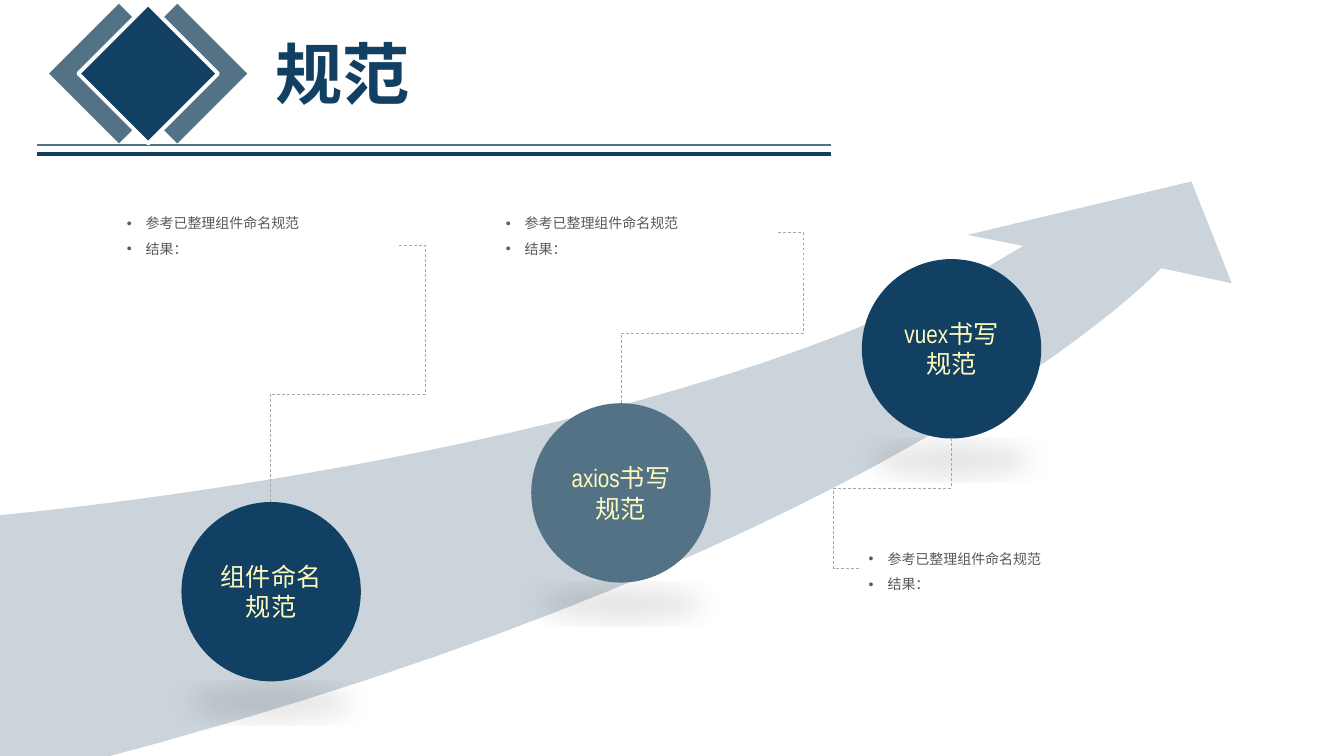
from lxml.etree import SubElement
from pptx import Presentation
from pptx.dml.color import RGBColor
from pptx.enum.dml import MSO_LINE
from pptx.enum.shapes import MSO_CONNECTOR, MSO_SHAPE
from pptx.enum.text import MSO_ANCHOR, MSO_AUTO_SIZE, PP_ALIGN
from pptx.oxml.ns import qn
from pptx.util import Pt

NAVY, SLATE, GREY, WHITE = "124062", "537285", "A6A6A6", "FFFFFF"


def color(code):
    return RGBColor.from_string(code)


def apply(target, values):
    for name, value in values.items():
        setattr(target, name, value)


def child(parent, tag, **attrs):
    node = SubElement(parent, qn(tag))
    for name, value in attrs.items():
        node.set(name, str(value))
    return node


def curve(a, b, c, d, steps=32):
    points = []
    for step in range(1, steps + 1):
        t = step / steps
        u = 1 - t
        points.append(tuple(
            u**3 * p + 3 * u * u * t * q + 3 * u * t * t * r + t**3 * s
            for p, q, r, s in zip(a, b, c, d)))
    return points


class Deck:
    title = {"size": Pt(48), "name": "Montserrat", "bold": True}
    label = {"size": Pt(18), "name": "Arial Narrow"}
    body = {"size": Pt(10), "name": "Arial Narrow"}
    grow = {"auto_size": MSO_AUTO_SIZE.SHAPE_TO_FIT_TEXT}

    def __init__(self):
        self.show = Presentation()
        apply(self.show, {"slide_width": Pt(960), "slide_height": Pt(540)})
        self.shapes = self.show.slides.add_slide(
            self.show.slide_layouts[6]).shapes

    def paint(self, shape, fill, line=None, width=0):
        shape.shadow.inherit = False
        shape.fill.solid()
        shape.fill.fore_color.rgb = color(fill)
        if line:
            self.stroke(shape.line, line, width)
        else:
            shape.line.fill.background()

    def stroke(self, line, hue, width):
        line.width = Pt(width)
        line.color.rgb = color(hue)

    def letter(self, para, text, font, hue):
        run = para.add_run()
        run.text = text
        apply(run.font, font)
        run.font.color.rgb = color(hue)

    def link(self, kind, start, end, hue, width):
        line = self.shapes.add_connector(kind, *map(Pt, (*start, *end)))
        self.stroke(line.line, hue, width)
        child(line._element.spPr, "a:effectLst")
        return line

    def rule(self, y, hue, width):
        self.link(MSO_CONNECTOR.STRAIGHT, (593.28, y), (26.64, y), hue, width)

    def elbow(self, start, end, bends):
        (x1, y1), (x2, y2) = start, end
        mid_x, mid_y = (x1 + x2) / 2, (y1 + y2) / 2
        half_w, half_h = abs(y2 - y1) / 2, abs(x2 - x1) / 2
        line = self.link(
            MSO_CONNECTOR.ELBOW, (mid_x - half_w, mid_y - half_h),
            (mid_x + half_w, mid_y + half_h), GREY, 0.5)
        line.line.dash_style = MSO_LINE.DASH
        props = line._element.spPr
        frame = props.find(qn("a:xfrm"))
        frame.set("rot", "5400000")
        if y2 < y1:
            frame.set("flipH", "1")
            frame.set("flipV", "1")
        shape = props.find(qn("a:prstGeom"))
        shape.set("prst", "bentConnector4")
        for old in list(shape):
            shape.remove(old)
        guides = child(shape, "a:avLst")
        for index, bend in enumerate(bends, 1):
            child(guides, "a:gd", name=f"adj{index}",
                  fmla=f"val {round(bend * 100000)}")

    def diamond(self, x, fill, line=None, width=0):
        shape = self.shapes.add_shape(
            MSO_SHAPE.ROUNDED_RECTANGLE, *map(Pt, (x, 17.28, 70.56, 70.56)))
        shape.adjustments[0] = 0
        shape.rotation = 45
        self.paint(shape, fill, line, width)

    def arrow(self, start, points, fill, alpha):
        pen = self.shapes.build_freeform(*map(Pt, start))
        pen.add_line_segments([(Pt(x), Pt(y)) for x, y in points])
        shape = pen.convert_to_shape()
        self.paint(shape, fill)
        hue = shape._element.spPr.find(qn("a:solidFill"))[0]
        child(hue, "a:alpha", val=alpha * 1000)

    def circle(self, x, y, text, fill):
        shape = self.shapes.add_shape(
            MSO_SHAPE.OVAL, *map(Pt, (x, y, 128.16, 128.16)))
        self.paint(shape, fill)
        effects = shape._element.spPr.find(qn("a:effectLst"))
        shade = child(effects, "a:outerShdw", blurRad=Pt(19), dist=Pt(3),
                      dir=5400000, sx=90000, sy=-19000, rotWithShape=0)
        child(child(shade, "a:srgbClr", val="000000"), "a:alpha", val=10000)
        frame = shape.text_frame
        apply(frame, {"word_wrap": True, "vertical_anchor": MSO_ANCHOR.MIDDLE})
        para = frame.paragraphs[0]
        para.alignment = PP_ALIGN.CENTER
        self.letter(para, text, self.label, "FEFABC")

    def box(self, area, wrap):
        frame = self.shapes.add_textbox(*map(Pt, area)).text_frame
        apply(frame, {"word_wrap": wrap, **self.grow})
        return frame

    def head(self, area, text):
        para = self.box(area, False).paragraphs[0]
        self.letter(para, text, self.title, NAVY)

    def notes(self, area, lines):
        frame = self.box(area, True)
        for index, text in enumerate(lines):
            para = frame.add_paragraph() if index else frame.paragraphs[0]
            apply(para, {"alignment": PP_ALIGN.JUSTIFY, "line_spacing": 1.5})
            props = para._p.get_or_add_pPr()
            props.set("marL", str(Pt(13.5)))
            props.set("indent", str(Pt(-13.5)))
            child(props, "a:buFont", typeface="Arial")
            child(props, "a:buChar", char="•")
            self.letter(para, text, self.body, "595959")


def main():
    deck = Deck()
    deck.rule(103.68, SLATE, 1)
    for x in (91.44, 49.68):
        deck.diamond(x, SLATE)
    deck.diamond(70.56, NAVY, WHITE, 2.75)
    deck.rule(110.16, NAVY, 3)
    deck.head((189.36, 19.44, 111.6, 65.52), "规范")

    tail, neck, base = (0, 367.92), (730.8, 175.68), (829.44, 191.52)
    top = curve(tail, tail, (491.76, 324.72), neck)
    tip = [(691.2, 167.76), (851.04, 129.6), (879.84, 202.32), base]
    under = curve(base, base, (631.44, 406.08), (0, 560.16))
    deck.arrow(tail, top + tip + under, SLATE, 30)

    for x, y, text, fill in (
            (129.6, 358.56, "组件命名规范", NAVY),
            (379.44, 288, "axios书写规范", SLATE),
            (615.6, 185.04, "vuex书写规范", NAVY)):
        deck.circle(x, y, text, fill)

    lines = ("参考已整理组件命名规范", "结果：")
    for start, end, bends, area in (
            ((192.96, 358.56), (285.12, 174.96), (0.42, 1.2),
             (83.52, 144, 201.6, 61.92)),
            ((443.52, 288), (555.84, 166.32), (0.41, 1.16),
             (354.24, 144, 201.6, 43.92)),
            ((679.68, 313.2), (613.44, 406.08), (0.38, 1.27),
             (613.44, 383.76, 233.28, 43.92))):
        deck.elbow(start, end, bends)
        deck.notes(area, lines)

    deck.show.save("out.pptx")


if __name__ == "__main__":
    main()
